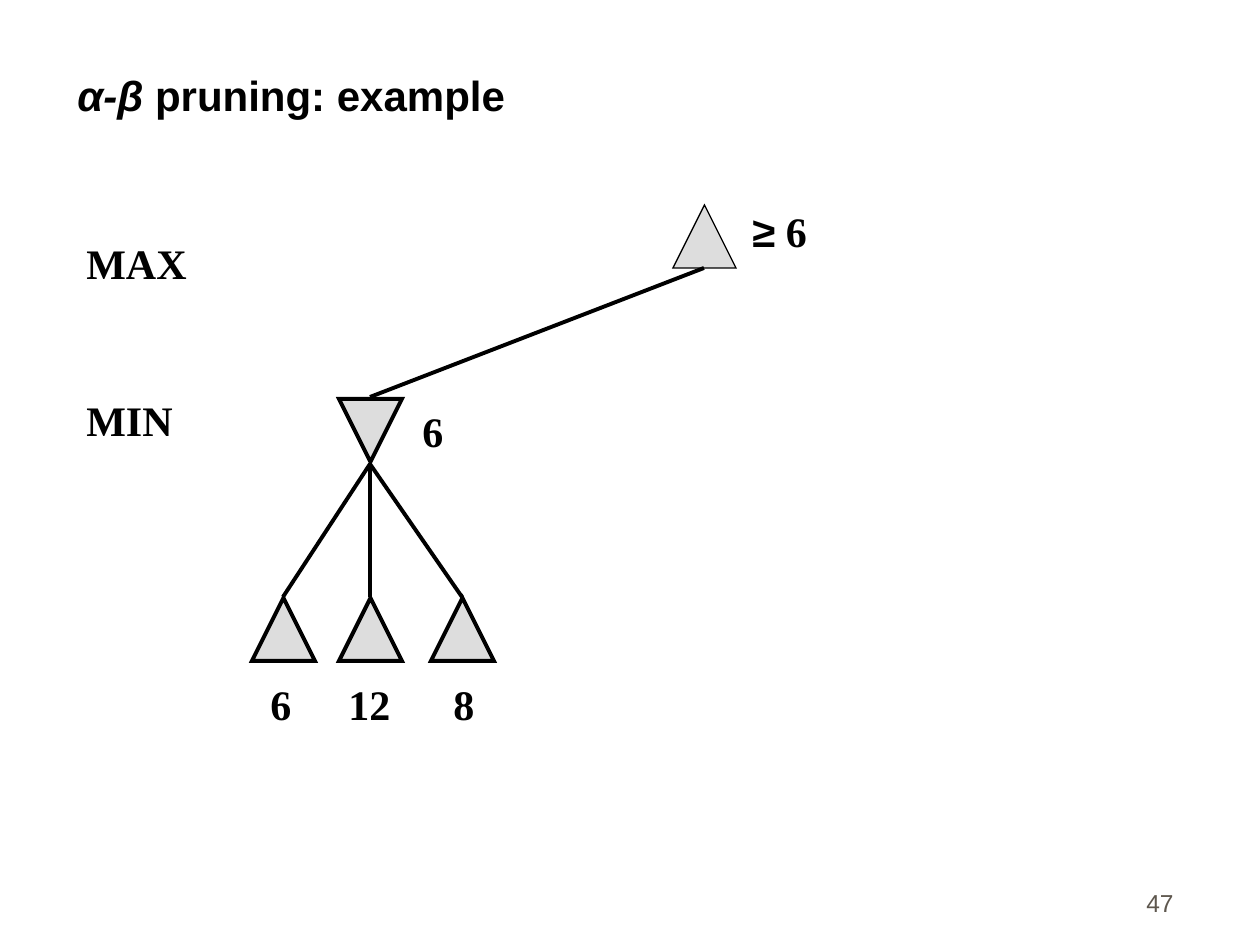
from lxml.etree import SubElement
from pptx import Presentation
from pptx.dml.color import RGBColor
from pptx.enum.shapes import MSO_CONNECTOR, MSO_SHAPE
from pptx.enum.text import MSO_ANCHOR, MSO_AUTO_SIZE, PP_ALIGN
from pptx.oxml.ns import qn
from pptx.util import Pt

PX = 914400 / 126
SANS, SERIF = "Arial", "Times New Roman"
BLACK, GREY, BROWN = "000000", "DDDDDD", "5E574E"


def px(*lengths):
    return [round(length * PX) for length in lengths]


def color(target, hex_code):
    """Give a font, or a fill or line made solid, its colour."""
    if hasattr(target, "solid"):
        target.solid()
        target = target.fore_color
    else:
        target = target.color
    target.rgb = RGBColor.from_string(hex_code)


prs = Presentation()
prs.slide_width, prs.slide_height = px(1260, 945)
slide = prs.slides.add_slide(prs.slide_layouts[6])

# Nodes: left, top, line width, points down
node_size = 63
leaf_lefts = [252, 339, 431]
leaf_top = 598
nodes = [(673, 205, 0.75, False), (339, 399, 2.25, True)]
nodes += [(left, leaf_top, 2.25, False) for left in leaf_lefts]
for left, top, width, points_down in nodes:
    node = slide.shapes.add_shape(
        MSO_SHAPE.ISOSCELES_TRIANGLE, *px(left, top, node_size, node_size))
    node.shadow.inherit = False
    color(node.fill, GREY)
    color(node.line.fill, BLACK)
    node.line.width = Pt(width)
    SubElement(node._element.spPr.find(qn("a:ln")), qn("a:miter"), lim="800000")
    if points_down:
        node._element.spPr.find(qn("a:xfrm")).set("flipV", "1")

# Branches: root to MIN node, MIN node to each leaf
branches = [(704, 268, 370, 397)]
branches += [(370, 464, x, 597) for x in (283, 370, 462)]
for ends in branches:
    branch = slide.shapes.add_connector(MSO_CONNECTOR.STRAIGHT, *px(*ends))
    color(branch.line.fill, BLACK)
    branch.line.width = Pt(2.25)
    SubElement(branch._element.spPr, qn("a:effectLst"))

# Labels: left, top, width, runs of (text, font)
labels = [
    (740, 199, 90, [("≥", SANS), (" 6", SERIF)]),
    (410, 399, 46, [("6", SERIF)]),
    (74, 231, 129, [("MAX", SERIF)]),
    (74, 388, 115, [("MIN", SERIF)]),
]
label_top = 672
for left, width, value in [(258, 46, "6"), (336, 68, "12"), (441, 46, "8")]:
    labels.append((left, label_top, width, [(value, SERIF)]))
for left, top, width, runs in labels:
    label = slide.shapes.add_textbox(*px(left, top, width, 63))
    label.text_frame.word_wrap = False
    label.text_frame.auto_size = MSO_AUTO_SIZE.SHAPE_TO_FIT_TEXT
    for text, font_name in runs:
        run = label.text_frame.paragraphs[0].add_run()
        run.text = text
        run.font.name = font_name
        run.font.size = Pt(24)
        run.font.bold = True
        color(run.font, BLACK)

# Title and page number: box, alignment, size, bold, colour, runs of (text, italic)
headings = [
    ((65, 32, 1124, 94), PP_ALIGN.LEFT, 24, True, BLACK,
     [("α-β", True), (" pruning: example", False)]),
    ((924, 861, 262, 63), PP_ALIGN.RIGHT, 14, False, BROWN, [("47", False)]),
]
for box, alignment, size, bold, hex_code, runs in headings:
    heading = slide.shapes.add_textbox(*px(*box)).text_frame
    heading.word_wrap = True
    heading.vertical_anchor = MSO_ANCHOR.BOTTOM
    heading.paragraphs[0].alignment = alignment
    for text, italic in runs:
        run = heading.paragraphs[0].add_run()
        run.text = text
        run.font.name = SANS
        run.font.size = Pt(size)
        run.font.bold = bold
        run.font.italic = italic
        color(run.font, hex_code)

prs.save("out.pptx")
